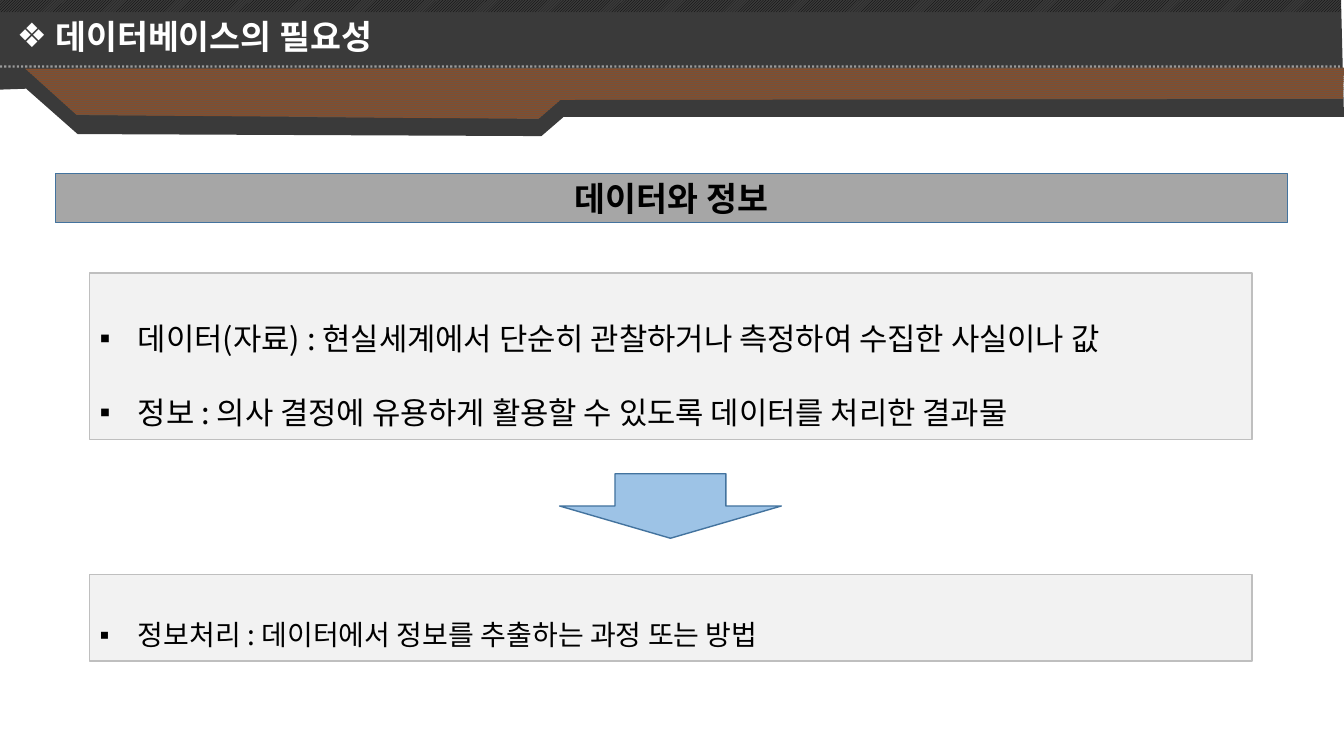
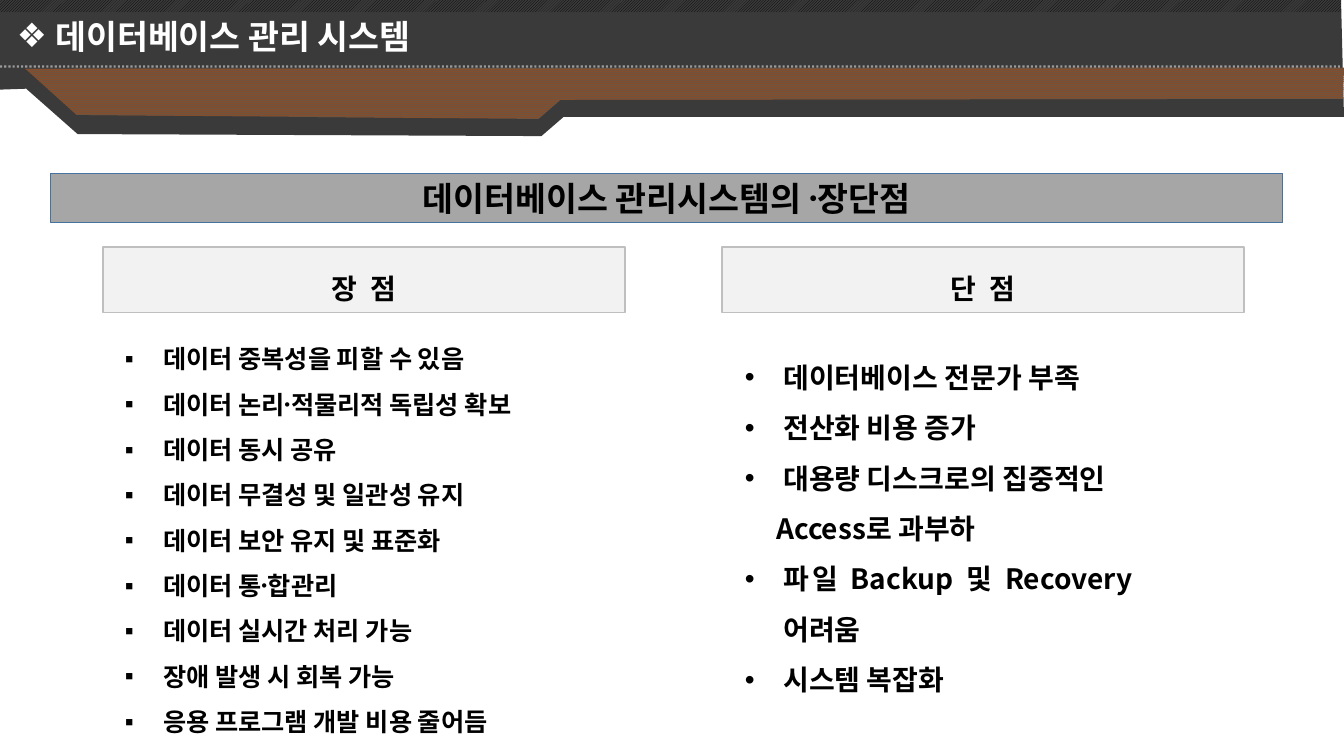
"""Build two slides about databases: why they are needed, and their management systems."""
import pptx
import pptx.util
import pptx.dml.color
import pptx.enum.dml
import pptx.enum.shapes
import pptx.enum.text
import pptx.oxml
import pptx.oxml.ns

ALIGN = pptx.enum.text.PP_ALIGN
ANCHOR = pptx.enum.text.MSO_ANCHOR
PATTERN = pptx.enum.dml.MSO_PATTERN
SHAPE = pptx.enum.shapes.MSO_SHAPE
Inches = pptx.util.Inches

KOREAN = "Noto Sans CJK KR"
LATIN = "Arial"
SLIDE_WIDTH, SLIDE_HEIGHT = 13.33, 7.5
HANGING = 0.38

COLORS = {
    "white": "FFFFFF", "black": "000000", "banner": "3A3A3A",
    "copper": "844D2C", "brown": "70533F", "heading": "A6A6A6",
    "panel": "F2F2F2", "border": "BFBFBF", "arrow": "9DC3E6", "outline": "43739E",
}

BANNER = [(-2, -2), (1330, -3), (1333, 116), (559, 116), (537, 135),
          (77, 133), (26, 88), (-2, 89)]
RIBBON = [(25, 68), (76, 114), (534, 118), (556, 99), (1332, 98), (1333, 67)]

NEED = {
    "title": "데이터베이스의 필요성",
    "heading": "데이터와 정보",
    "panels": [
        (2.71, 1.65, 22, [
            "데이터(자료) : 현실세계에서 단순히 관찰하거나 측정하여 수집한 사실이나 값",
            "정보 : 의사 결정에 유용하게 활용할 수 있도록 데이터를 처리한 결과물"]),
        (5.7, 0.86, 20, ["정보처리 : 데이터에서 정보를 추출하는 과정 또는 방법"]),
    ],
}

SYSTEM = {
    "title": "데이터베이스 관리 시스템",
    "heading": "데이터베이스 관리시스템의 장〮단점",
    "columns": [
        {"label": "장  점", "left": 1.02, "list": (1.14, 3.21, 4.47, 4.13),
         "size": 18, "bullet": "▪", "align": ALIGN.LEFT,
         "points": [
             ("데이터 중복성을 피할 수 있음", KOREAN),
             ("데이터 논리적〮물리적 독립성 확보", KOREAN),
             ("데이터 동시 공유", KOREAN),
             ("데이터 무결성 및 일관성 유지", LATIN),
             ("데이터 보안 유지 및 표준화", KOREAN),
             ("데이터 통합〮관리", LATIN),
             ("데이터 실시간 처리 가능", LATIN),
             ("장애 발생 시 회복 가능", LATIN),
             ("응용 프로그램 개발 비용 줄어듬", LATIN)]},
        {"label": "단  점", "left": 7.16, "list": (7.29, 3.36, 4.04, 3.6),
         "size": 20, "bullet": "•", "align": ALIGN.JUSTIFY,
         "points": [
             ("데이터베이스 전문가 부족", KOREAN),
             ("전산화 비용 증가", KOREAN),
             ("대용량 디스크로의 집중적인", KOREAN),
             ("Access로 과부하", KOREAN, 0.31),
             ("파일 Backup 및 Recovery 어려움", KOREAN),
             ("시스템 복잡화", KOREAN)]},
    ],
}


def rgb(name):
    return pptx.dml.color.RGBColor.from_string(COLORS[name])


def element(markup):
    tag, gap, rest = markup.partition(" ")
    return pptx.oxml.parse_xml(f"<a:{tag} {pptx.oxml.ns.nsdecls('a')} {rest}")


def apply(target, values):
    for name, value in values.items():
        setattr(target, name, value)


def paint(shape, fill, line=None, pattern=None, back=None):
    shape.shadow.inherit = False
    if pattern:
        shape.fill.patterned()
        shape.fill.pattern = pattern
        shape.fill.fore_color.rgb = rgb(fill)
        shape.fill.back_color.rgb = rgb(back)
    else:
        shape.fill.solid()
        shape.fill.fore_color.rgb = rgb(fill)
    if line:
        shape.line.color.rgb = rgb(line)
        shape.line.width = pptx.util.Pt(1)
    else:
        shape.line.fill.background()


def add_block(slide, kind, place, fill, line=None, **pattern):
    block = slide.shapes.add_shape(kind, *map(Inches, place))
    paint(block, fill, line, **pattern)
    return block


def add_outline(slide, points, fill, **pattern):
    builder = slide.shapes.build_freeform(*points[0], scale=9144)
    builder.add_line_segments(points[1:], close=True)
    paint(builder.convert_to_shape(), fill, **pattern)


def write(shape, lines, size, color="black", bold=True, bullet=None,
          align=ALIGN.LEFT, spacing=1.0, anchor=ANCHOR.MIDDLE):
    """Write (text, typeface[, plain indent]) lines into a shape."""
    frame = shape.text_frame
    apply(frame, {"word_wrap": True, "vertical_anchor": anchor})
    for index, (text, face, *indent) in enumerate(lines):
        paragraph = frame.add_paragraph() if index else frame.paragraphs[0]
        properties = paragraph._p.get_or_add_pPr()
        if indent:
            properties.set("marL", str(Inches(indent[0])))
        elif bullet:
            properties.set("marL", str(Inches(HANGING)))
            properties.set("indent", str(-Inches(HANGING)))
            properties.append(element(f'buFont typeface="{LATIN}"/>'))
            properties.append(element(f'buChar char="{bullet}"/>'))
        apply(paragraph, {"alignment": align, "line_spacing": spacing})
        run = paragraph.add_run()
        run.text = text
        apply(run.font, {"size": pptx.util.Pt(size), "bold": bold, "name": face})
        run.font.color.rgb = rgb(color)
        run.font._element.find(pptx.oxml.ns.qn("a:latin")).addnext(
            element(f'ea typeface="{KOREAN}"/>'))


def add_dotted_rule(slide):
    rule = slide.shapes.add_connector(
        pptx.enum.shapes.MSO_CONNECTOR.STRAIGHT, *map(Inches, (0, 0.66, 13.29, 0.66)))
    apply(rule.line, {"width": pptx.util.Pt(1.5),
                      "dash_style": pptx.enum.dml.MSO_LINE.ROUND_DOT})
    rule.line.color.rgb = rgb("white")
    solid = rule.line._ln.find(pptx.oxml.ns.qn("a:solidFill"))
    solid[0].append(element('alpha val="50000"/>'))
    rule._element.spPr.append(element("effectLst />"))


def add_title(slide, title):
    box = slide.shapes.add_textbox(*map(Inches, (0.07, 0.11, 6.59, 0.5)))
    write(box, [(title, KOREAN)], 24, "white", bullet="❖", anchor=ANCHOR.TOP)
    font = box.text_frame.paragraphs[0].runs[0].font
    font._element.find(pptx.oxml.ns.qn("a:solidFill")).addnext(element(
        'effectLst ><a:outerShdw blurRad="38100" dist="38100" dir="2700000">'
        f'<a:srgbClr val="{COLORS["black"]}"/></a:outerShdw></a:effectLst>'))


def add_page(deck, content, heading_left):
    slide = deck.slides.add_slide(deck.slide_layouts[6])
    add_outline(slide, BANNER, "banner")
    add_block(slide, SHAPE.RECTANGLE, (-0.03, 0, SLIDE_WIDTH, 0.12), "black",
              pattern=PATTERN.LIGHT_UPWARD_DIAGONAL, back="banner")
    add_outline(slide, RIBBON, "copper",
                pattern=PATTERN.NARROW_HORIZONTAL, back="brown")
    add_dotted_rule(slide)
    add_title(slide, content["title"])
    heading = add_block(slide, SHAPE.RECTANGLE, (heading_left, 1.72, 12.22, 0.49),
                        "heading", "outline")
    write(heading, [(content["heading"], KOREAN)], 24, align=ALIGN.CENTER)
    return slide


def build_need(deck):
    slide = add_page(deck, NEED, 0.55)
    for top, height, size, points in NEED["panels"]:
        panel = add_block(slide, SHAPE.RECTANGLE, (0.89, top, 11.53, height),
                          "panel", "border")
        write(panel, [(point, KOREAN) for point in points], size,
              bold=False, bullet="▪", spacing=2.0)
    add_block(slide, SHAPE.DOWN_ARROW, (5.55, 4.7, 2.2, 0.64), "arrow", "outline")


def build_system(deck):
    slide = add_page(deck, SYSTEM, 0.5)
    for column in SYSTEM["columns"]:
        label = add_block(slide, SHAPE.RECTANGLE, (column["left"], 2.45, 5.18, 0.65),
                          "panel", "border")
        write(label, [(column["label"], LATIN)], 20, align=ALIGN.CENTER, spacing=1.5)
        points = slide.shapes.add_textbox(*map(Inches, column["list"]))
        write(points, column["points"], column["size"], bullet=column["bullet"],
              align=column["align"], spacing=1.5, anchor=ANCHOR.TOP)


def main():
    deck = pptx.Presentation()
    apply(deck, {"slide_width": Inches(SLIDE_WIDTH), "slide_height": Inches(SLIDE_HEIGHT)})
    build_need(deck)
    build_system(deck)
    deck.save("out.pptx")


if __name__ == "__main__":
    main()
